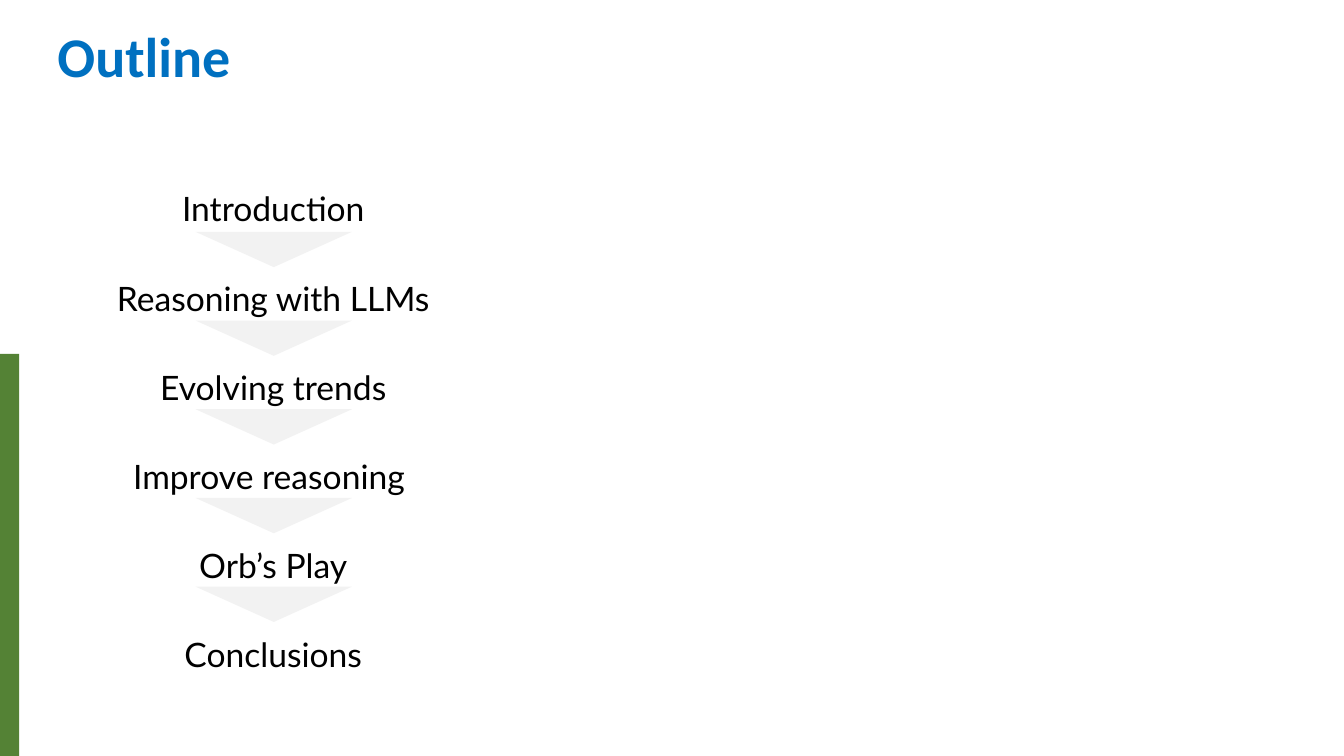
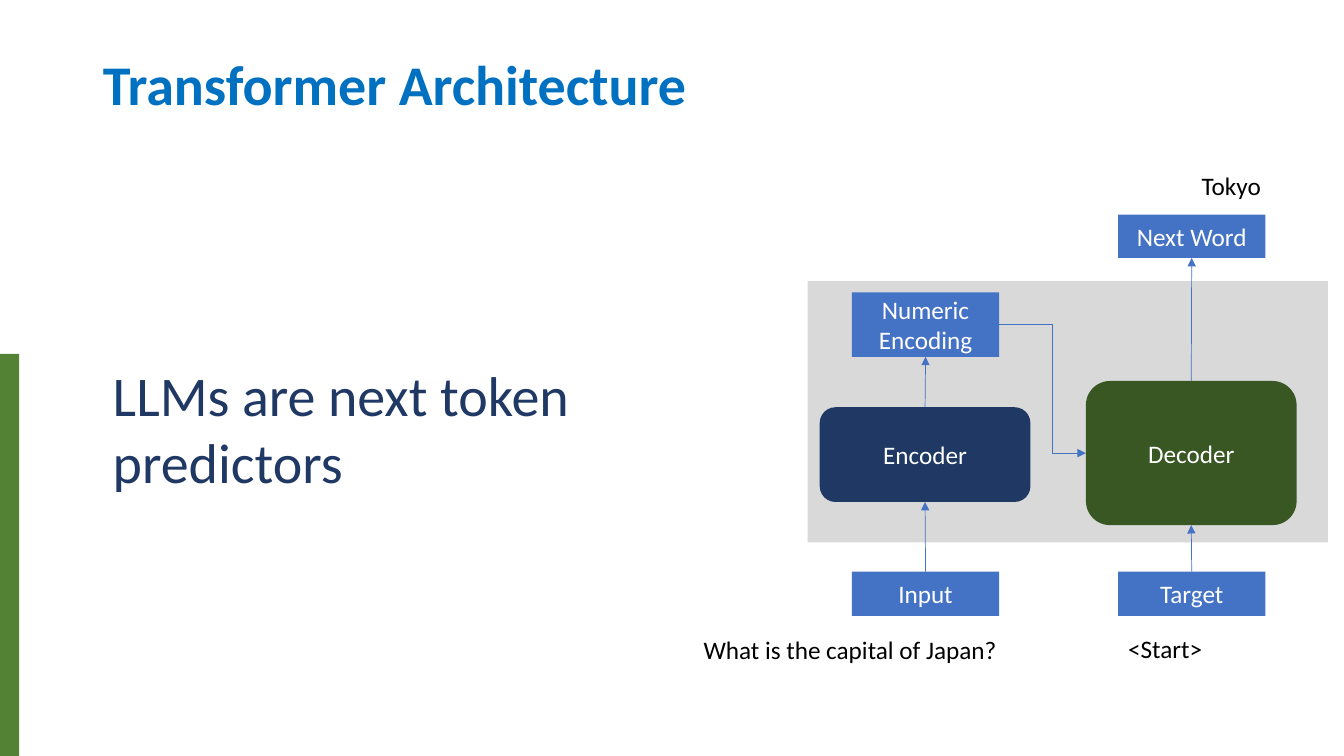
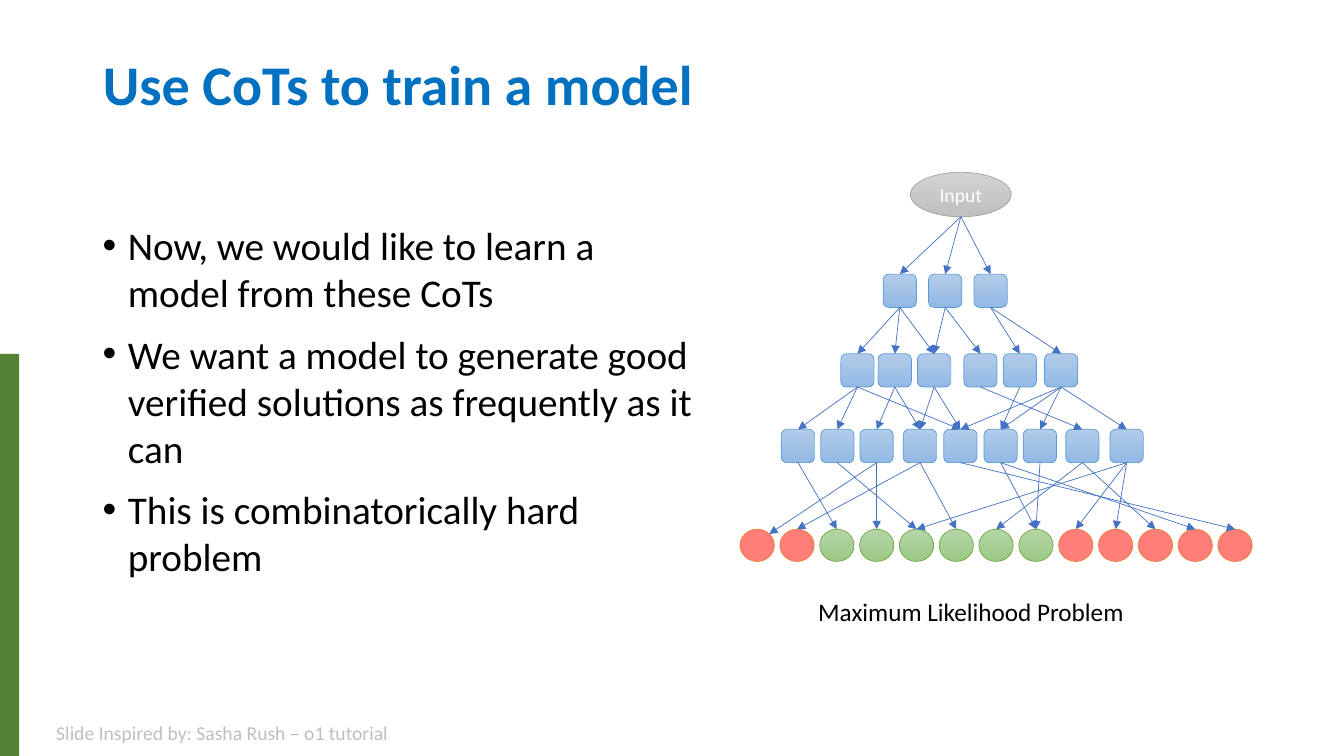
from lxml.etree import SubElement
from pptx import Presentation
from pptx.dml.color import RGBColor
from pptx.enum.shapes import MSO_CONNECTOR, MSO_SHAPE
from pptx.enum.text import MSO_ANCHOR, PP_ALIGN
from pptx.oxml.ns import qn
from pptx.util import Inches, Pt

TITLE_BLUE = "0070C0"
BAND_GREEN = "548235"
ACCENT_BLUE = "4472C4"
NAVY = "203864"
BLUE_GRADIENT = ("B1CBE9", "93B9E4")
GREEN_GRADIENT = ("B5D5A7", "9CC987")
GRAY_GRADIENT = ("D2D2D2", "C0C0C0")
TOP, LEFT, BOTTOM, RIGHT, CORNER = range(5)
SIDE_FRACTIONS = ((0.5, 0), (0, 0.5), (0.5, 1), (1, 0.5), (0.85, 0.15))


def rgb(value):
    """Turn a hex string into a colour."""
    return RGBColor.from_string(value)


def side_point(shape, side):
    """Return the point on a shape's outline for a side."""
    across, down = SIDE_FRACTIONS[side]
    return int(shape.left + shape.width * across), int(shape.top + shape.height * down)


class Deck:
    """Hold the shared style and the current slide."""

    def __init__(self):
        """Start an empty widescreen presentation."""
        self.presentation = Presentation()
        self.presentation.slide_width = Inches(13.33)
        self.presentation.slide_height = Inches(7.5)
        self.slide = None

    def add_slide(self, title, left=0.92, top=0.4, width=11.5, height=0.94):
        """Add a slide with the green band and a formatted title."""
        self.slide = self.presentation.slides.add_slide(self.presentation.slide_layouts[5])
        self.shape(MSO_SHAPE.RECTANGLE, 0, 3.51, 0.19, 3.99, BAND_GREEN)
        placeholder = self.slide.shapes.title
        placeholder.left, placeholder.top = Inches(left), Inches(top)
        placeholder.width, placeholder.height = Inches(width), Inches(height)
        placeholder.text_frame.vertical_anchor = MSO_ANCHOR.MIDDLE
        self.set_text(placeholder, [title], 40, TITLE_BLUE, bold=True, line_spacing=0.9)

    def set_text(self, shape, lines, size, color, font="Calibri", bold=False,
                 align=PP_ALIGN.LEFT, line_spacing=None, space_before=0, bullet=False):
        """Fill a shape with paragraphs of one style."""
        frame = shape.text_frame
        frame.word_wrap = True
        for index, line in enumerate(lines):
            paragraph = frame.add_paragraph() if index else frame.paragraphs[0]
            paragraph.text = line
            paragraph.alignment = align
            if line_spacing:
                paragraph.line_spacing = line_spacing
            paragraph.space_before = Pt(space_before if index else 0)
            if bullet:
                properties = paragraph._p.get_or_add_pPr()
                properties.set("marL", str(Inches(0.25)))
                properties.set("indent", str(-Inches(0.25)))
                SubElement(properties, qn("a:buFont")).set("typeface", "Arial")
                SubElement(properties, qn("a:buChar")).set("char", "•")
            paragraph.font.name = font
            paragraph.font.size = Pt(size)
            paragraph.font.bold = bold
            paragraph.font.color.rgb = rgb(color)

    def text(self, lines, left, top, width, height, size=18, color="000000", **style):
        """Add a text box."""
        box = self.slide.shapes.add_textbox(Inches(left), Inches(top), Inches(width), Inches(height))
        self.set_text(box, lines, size, color, **style)

    def shape(self, kind, left, top, width, height, fill, line=None, label=None, size=18):
        """Add a preset shape with a plain or two-colour fill."""
        shape = self.slide.shapes.add_shape(
            kind, Inches(left), Inches(top), Inches(width), Inches(height))
        shape.shadow.inherit = False
        if isinstance(fill, tuple):
            shape.fill.gradient()
            shape.fill.gradient_angle = 270
            for stop, color in zip(shape.fill.gradient_stops, fill):
                stop.color.rgb = rgb(color)
        else:
            shape.fill.solid()
            shape.fill.fore_color.rgb = rgb(fill)
        if line:
            shape.line.color.rgb = rgb(line)
            shape.line.width = Pt(0.5)
        else:
            shape.line.fill.background()
        if label:
            shape.text_frame.vertical_anchor = MSO_ANCHOR.MIDDLE
            self.set_text(shape, [label], size, "FFFFFF", align=PP_ALIGN.CENTER)
        return shape

    def arrow(self, begin, end, begin_side=BOTTOM, end_side=TOP, bend=None):
        """Join two shapes with a thin arrow, bent at a fraction if given."""
        kind = MSO_CONNECTOR.ELBOW if bend else MSO_CONNECTOR.STRAIGHT
        connector = self.slide.shapes.add_connector(
            kind, *side_point(begin, begin_side), *side_point(end, end_side))
        if begin.auto_shape_type != MSO_SHAPE.OVAL:
            connector.begin_connect(begin, begin_side)
        if end.auto_shape_type != MSO_SHAPE.OVAL:
            connector.end_connect(end, end_side)
        connector.line.color.rgb = rgb(ACCENT_BLUE)
        connector.line.width = Pt(0.5)
        properties = connector.element.spPr
        SubElement(properties.find(qn("a:ln")), qn("a:tailEnd")).set("type", "triangle")
        SubElement(properties, qn("a:effectLst"))
        if bend:
            guide = SubElement(properties.find(qn("a:prstGeom")).find(qn("a:avLst")), qn("a:gd"))
            guide.set("name", "adj1")
            guide.set("fmla", f"val {round(bend * 100000)}")


def outline_slide(deck):
    """Build the outline."""
    deck.add_slide("Outline", 0.47, 0.23, 5.19, 0.71)
    topics = ["Introduction", "Reasoning with LLMs", "Evolving trends",
              "Improve reasoning ", "Orb’s Play", "Conclusions"]
    deck.text(topics, 0.97, 1.42, 3.48, 5.3, 24, font="Lato", align=PP_ALIGN.CENTER,
              line_spacing=2.0, space_before=6)
    for index in range(len(topics) - 1):
        triangle = deck.shape(MSO_SHAPE.ISOSCELES_TRIANGLE, 1.94, 2.3 + 0.88 * index,
                              1.55, 0.35, "F2F2F2")
        triangle.rotation = 180


def transformer_slide(deck):
    """Build the encoder and decoder diagram."""
    deck.add_slide("Transformer Architecture")
    deck.text(["LLMs are next token predictors"], 1.02, 3.53, 6.03, 1.45, 40, NAVY)
    deck.shape(MSO_SHAPE.RECTANGLE, 8.01, 2.79, 5.16, 2.59, "D9D9D9")
    encoder = deck.shape(MSO_SHAPE.ROUNDED_RECTANGLE, 8.13, 4.04, 2.09, 0.94, NAVY, label="Encoder")
    decoder = deck.shape(MSO_SHAPE.ROUNDED_RECTANGLE, 10.77, 3.78, 2.09, 1.43, "385723",
                         label="Decoder")
    next_word, target, source, encoding = [
        deck.shape(MSO_SHAPE.RECTANGLE, left, top, 1.46, height, ACCENT_BLUE, label=label)
        for label, left, top, height in (
            ("Next Word", 11.09, 2.13, 0.43), ("Target", 11.09, 5.67, 0.44),
            ("Input", 8.45, 5.67, 0.44), ("Numeric Encoding", 8.45, 2.9, 0.64))]
    for begin, end in ((source, encoder), (decoder, next_word), (target, decoder),
                       (encoder, encoding)):
        deck.arrow(begin, end, TOP, BOTTOM)
    deck.arrow(encoding, decoder, RIGHT, LEFT, bend=0.61)
    for label, left, top, width in (("What is the capital of Japan?", 6.88, 6.24, 3.2),
                                    ("<Start>", 11.09, 6.23, 1), ("Tokyo", 11.82, 1.64, 0.85)):
        deck.text([label], left, top, width, 0.4)


def training_slide(deck):
    """Build the tree of reasoning chains."""
    deck.add_slide("Use CoTs to train a model")
    deck.text(["Now, we would like to learn a model from these CoTs",
               "We want a model to generate good verified solutions as frequently as it can",
               "This is combinatorically hard problem"],
              0.92, 2.15, 6.08, 4.29, 28, space_before=10, bullet=True)
    levels = [[deck.shape(MSO_SHAPE.OVAL, 9.03, 1.71, 1, 0.44, GRAY_GRADIENT, "A5A5A5", "Input", 14)]]
    for top, lefts in ((2.72, (8.76, 9.21, 9.66)),
                       (3.51, (8.34, 8.71, 9.1, 9.56, 9.95, 10.36)),
                       (4.26, (7.75, 8.14, 8.53, 8.96, 9.36, 9.76, 10.15, 10.57, 11.01))):
        levels.append([deck.shape(MSO_SHAPE.ROUNDED_RECTANGLE, left, top, 0.33, 0.33,
                                  BLUE_GRADIENT, "5B9BD5") for left in lefts])
    outcomes = []
    for index in range(13):
        fill, line = (GREEN_GRADIENT, "70AD47") if 2 <= index <= 7 else ("FF7E79", "ED7D31")
        outcomes.append(deck.shape(MSO_SHAPE.OVAL, 7.34 + 4.74 / 12 * index, 5.25, 0.34, 0.32,
                                   fill, line))
    levels.append(outcomes)
    children_by_level = (
        ((0, 1, 2),),
        ((0, 1, 2), (2, 3), (4, 5)),
        ((0, 1, 4), (2, 3), (3, 4), (7,), (5,), (4, 5, 6, 8)),
        ((2,), (4,), (0, 3), (1, 5), (12,), (7, 11), (7,), (6, 10), (4, 8, 9)))
    for parents, nodes, children_by_parent in zip(levels, levels[1:], children_by_level):
        for parent, children in zip(parents, children_by_parent):
            for child in children:
                first_outcome = nodes is outcomes and child == 0
                deck.arrow(parent, nodes[child], end_side=CORNER if first_outcome else TOP)
    deck.text(["Maximum Likelihood Problem"], 7.83, 5.87, 3.6, 0.4, align=PP_ALIGN.CENTER)
    deck.text(["Slide Inspired by: Sasha Rush – o1 tutorial"], 0.46, 7.1, 6.67, 0.34, 14, "BFBFBF")


def main():
    """Build and save the slides."""
    deck = Deck()
    outline_slide(deck)
    transformer_slide(deck)
    training_slide(deck)
    deck.presentation.save("out.pptx")


if __name__ == "__main__":
    main()
